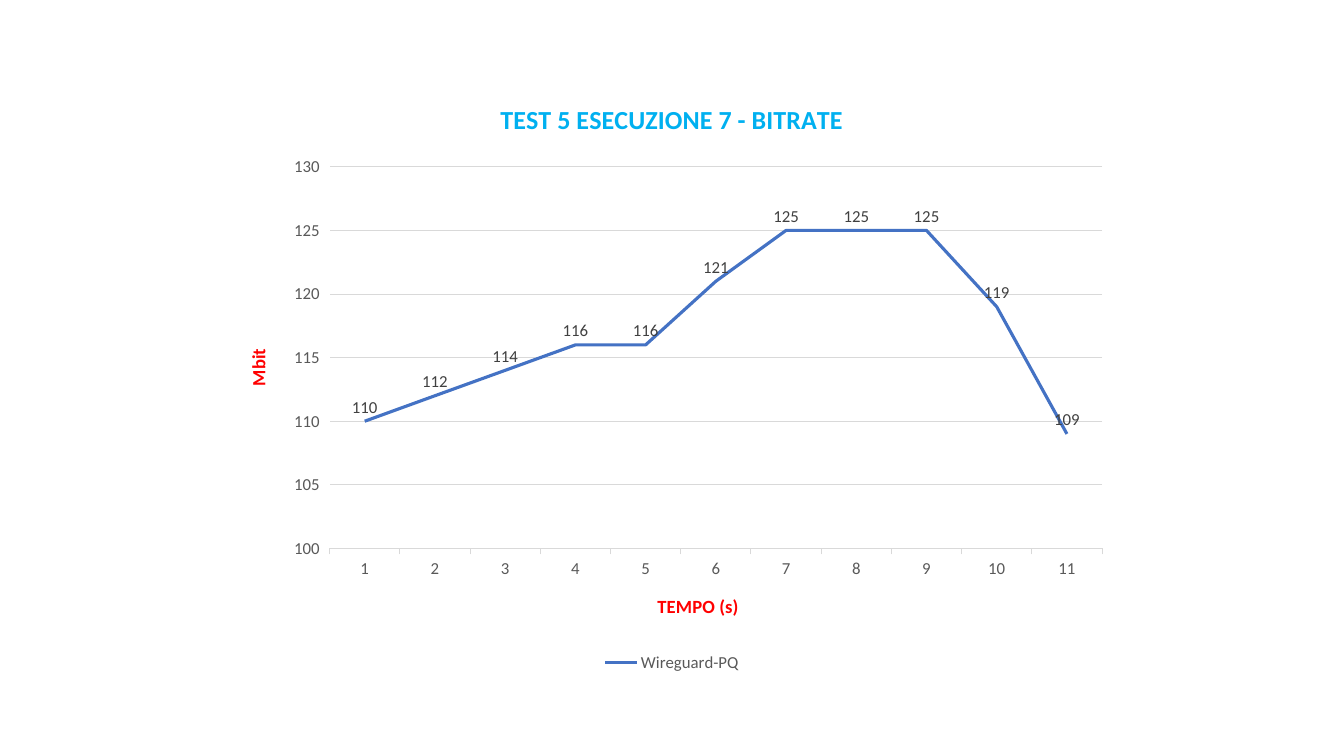
import pptx
import pptx.chart.data
import pptx.dml.color
import pptx.enum.chart
import pptx.util

BITRATES = [110, 112, 114, 116, 116, 121, 125, 125, 125, 119, 109]


def colour(code):
    return pptx.dml.color.RGBColor.from_string(code)


def format_font(font, size, code, bold=False):
    font.name = "Calibri"
    font.size = pptx.util.Pt(size)
    font.bold = bold
    font.color.rgb = colour(code)


def write_text(frame, text, **style):
    span = frame.paragraphs[0].add_run()
    span.text = text
    format_font(span.font, **style)


def format_line(line, code, width):
    line.color.rgb = colour(code)
    line.width = pptx.util.Pt(width)


class ChartPage:
    title_style = dict(size=18.6, code="00B0F0", bold=True)
    axis_title_style = dict(size=13.3, code="FF0000", bold=True)
    label_style = dict(size=12, code="595959")
    value_style = dict(size=12, code="404040")
    grid_style = dict(code="D9D9D9", width=0.75)
    series_style = dict(code="4472C4", width=2.25)

    def __init__(self, deck):
        self.width, self.height = deck.slide_width, deck.slide_height
        self.page = deck.slides.add_slide(deck.slide_layouts[6])

    def add_line_chart(self, left, top, width, height, title, name, values):
        data = pptx.chart.data.CategoryChartData()
        data.categories = [str(second) for second in range(1, len(values) + 1)]
        data.add_series(name, values)
        chart = self.page.shapes.add_chart(
            pptx.enum.chart.XL_CHART_TYPE.LINE,
            int(left * self.width), int(top * self.height),
            int(width * self.width), int(height * self.height), data).chart
        format_font(chart.font, **self.label_style)
        chart.has_title = True
        write_text(chart.chart_title.text_frame, title, **self.title_style)
        chart.chart_title.include_in_layout = False
        chart.plots[0].vary_by_categories = False
        self.format_series(chart.plots[0].series[0])
        return chart

    def format_series(self, series):
        series.smooth = False
        series.marker.style = pptx.enum.chart.XL_MARKER_STYLE.NONE
        format_line(series.format.line, **self.series_style)
        labels = series.data_labels
        labels.show_value = True
        labels.position = pptx.enum.chart.XL_LABEL_POSITION.ABOVE
        format_font(labels.font, **self.value_style)

    def format_axis(self, axis, title):
        axis.has_title = True
        write_text(axis.axis_title.text_frame, title, **self.axis_title_style)
        format_font(axis.tick_labels.font, **self.label_style)
        axis.major_tick_mark = pptx.enum.chart.XL_TICK_MARK.OUTSIDE
        axis.minor_tick_mark = pptx.enum.chart.XL_TICK_MARK.NONE
        format_line(axis.format.line, **self.grid_style)

    def format_value_axis(self, axis, title, low, high, step):
        self.format_axis(axis, title)
        axis.format.line.fill.background()
        axis.minimum_scale, axis.maximum_scale, axis.major_unit = low, high, step
        axis.has_major_gridlines = True
        format_line(axis.major_gridlines.format.line, **self.grid_style)

    def add_legend(self, chart):
        chart.has_legend = True
        chart.legend.position = pptx.enum.chart.XL_LEGEND_POSITION.BOTTOM
        chart.legend.include_in_layout = False
        format_font(chart.legend.font, **self.label_style)


def main():
    deck = pptx.Presentation()
    deck.slide_width = pptx.util.Inches(13.33)
    deck.slide_height = pptx.util.Inches(7.5)
    page = ChartPage(deck)
    chart = page.add_line_chart(
        1 / 6, 0.105, 2 / 3, 0.79,
        "TEST 5 ESECUZIONE 7 - BITRATE", "Wireguard-PQ", BITRATES)
    page.format_axis(chart.category_axis, "TEMPO (s)")
    page.format_value_axis(chart.value_axis, "Mbit", low=100, high=130, step=5)
    page.add_legend(chart)
    deck.save("out.pptx")


if __name__ == "__main__":
    main()
